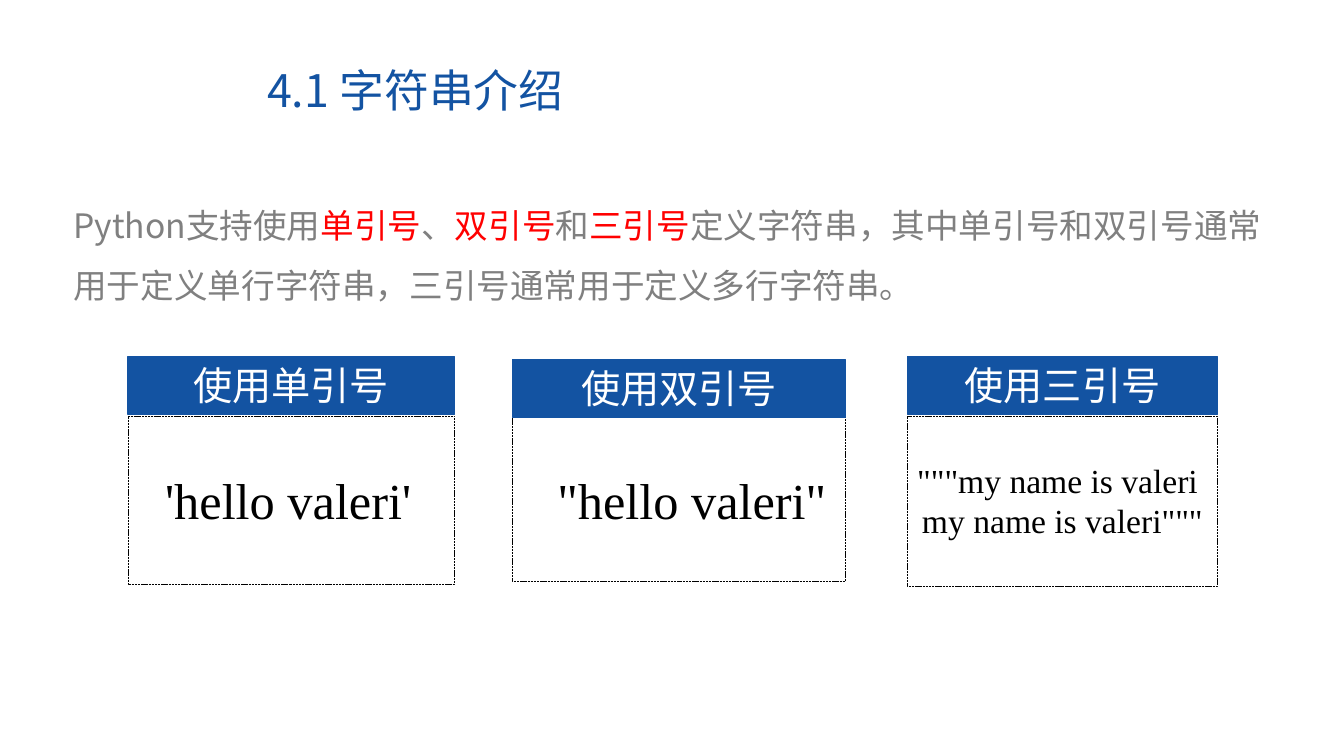
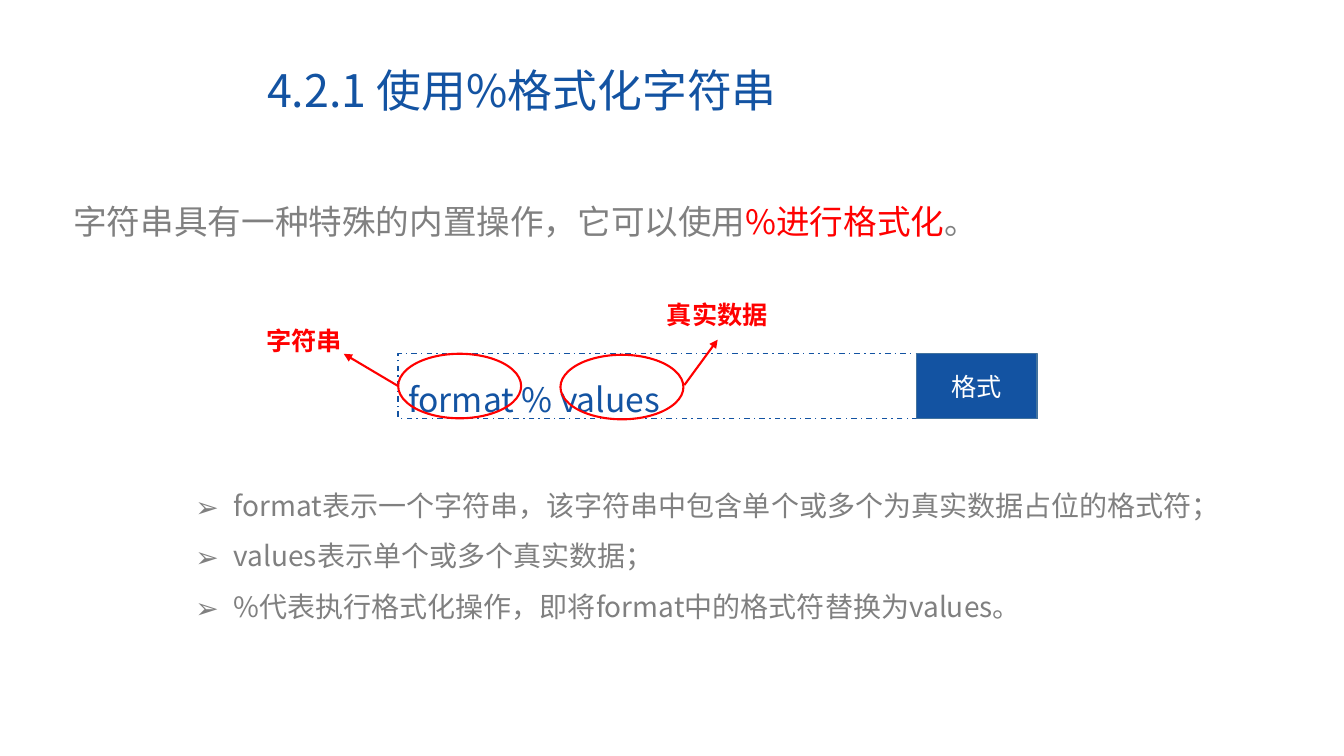
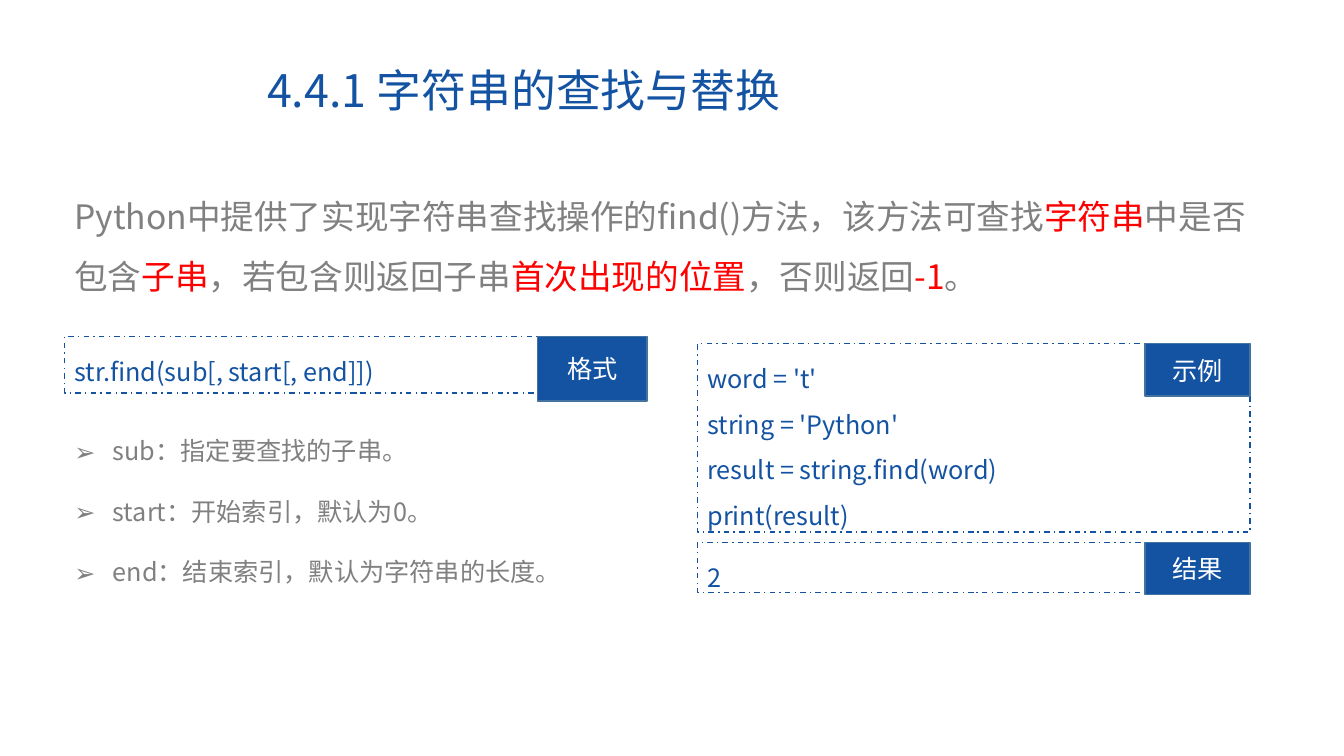
from dataclasses import dataclass

from lxml.etree import SubElement
from pptx import Presentation
from pptx.dml.color import RGBColor
from pptx.enum.dml import MSO_LINE_DASH_STYLE as Dash
from pptx.enum.shapes import MSO_CONNECTOR as Connector, MSO_SHAPE as Shape
from pptx.enum.text import MSO_ANCHOR as Anchor, MSO_AUTO_SIZE as AutoSize, PP_ALIGN as Align
from pptx.oxml.ns import qn
from pptx.util import Inches, Pt

# Shared look
BLUE = RGBColor(0x13, 0x53, 0xA2)
EDGE = RGBColor(0x43, 0x73, 0x9E)
GREY = RGBColor(0x80, 0x80, 0x80)
RED = RGBColor(0xFF, 0x00, 0x00)
WHITE = RGBColor(0xFF, 0xFF, 0xFF)
BLACK = RGBColor(0x00, 0x00, 0x00)
SANS, SERIF = "Noto Sans CJK SC", "Times New Roman"

# Grid of square cells, ten to the inch
COLS, ROWS = 133.33, 75
BULLET_INDENT = 3.8
TITLE_BOX = (25.5, 6.3, 91.4, 5.9)


def cells(n: float) -> int:
    return Inches(n / 10)


@dataclass(frozen=True)
class Style:
    size: float
    color: RGBColor
    font: str = SANS
    bold: bool = False
    align: Align = Align.LEFT
    anchor: Anchor = Anchor.TOP
    spacing: float = 1.0
    bullet: str = ""
    gap: float = 0


@dataclass(frozen=True)
class Card:
    left: float
    width: float
    top: float
    body_height: float
    heading: str


@dataclass(frozen=True)
class Panel:
    box: tuple
    lines: tuple
    tag: str
    tag_size: tuple
    size: float = 18


@dataclass(frozen=True)
class Callout:
    oval: tuple
    start: tuple
    end: tuple
    label_box: tuple
    label: str


TITLE = Style(32, BLUE, anchor=Anchor.MIDDLE, spacing=0.9)
INTRO = Style(24, GREY, spacing=1.5)
HEADING = Style(28, WHITE, align=Align.CENTER)
TAG = Style(18, WHITE, align=Align.CENTER, anchor=Anchor.MIDDLE)
LABEL = Style(18, RED, bold=True, align=Align.CENTER, anchor=Anchor.MIDDLE)
QUOTE = Style(36, BLACK, SERIF)
LONG_QUOTE = Style(24, BLACK, SERIF)
NOTES = Style(20, GREY, spacing=1.5, bullet="➢")
PARAMETERS = Style(18, GREY, bullet="➢", gap=21.6)


def write(sp, lines, style: Style, aligns=()) -> None:
    """Fill a shape with paragraphs; every second part between bars is red."""
    tf = sp.text_frame
    frame = {"word_wrap": True, "auto_size": AutoSize.NONE, "vertical_anchor": style.anchor}
    for name, value in frame.items():
        setattr(tf, name, value)
    for i, line in enumerate(lines):
        p = tf.add_paragraph() if i else tf.paragraphs[0]
        if style.bullet:
            pPr = p._p.get_or_add_pPr()
            pPr.set("marL", str(cells(BULLET_INDENT)))
            pPr.set("indent", str(-cells(BULLET_INDENT)))
            SubElement(pPr, qn("a:buFont")).set("typeface", style.font)
            SubElement(pPr, qn("a:buChar")).set("char", style.bullet)
        p.alignment = aligns[i] if aligns else style.align
        p.line_spacing = style.spacing
        if i and style.gap:
            p.space_before = Pt(style.gap)
        for j, part in enumerate(line.split("|")):
            r = p.add_run()
            r.text = part
            values = {"size": Pt(style.size), "name": style.font, "bold": style.bold}
            for name, value in values.items():
                setattr(r.font, name, value)
            r.font.color.rgb = RED if j % 2 else style.color
            SubElement(r._r.get_or_add_rPr(), qn("a:ea")).set("typeface", style.font)


def add_text(s, box, lines, style: Style, aligns=()) -> None:
    write(s.shapes.add_textbox(*map(cells, box)), lines, style, aligns)


def add_box(s, box, kind=Shape.RECTANGLE, fill=None, line=None, width=1.0, dash=None):
    sp = s.shapes.add_shape(kind, *map(cells, box))
    sp.shadow.inherit = False
    if fill is None:
        sp.fill.background()
    else:
        sp.fill.solid()
        sp.fill.fore_color.rgb = fill
    if line is None:
        sp.line.fill.background()
    else:
        sp.line.color.rgb = line
        sp.line.width = Pt(width)
        if dash is not None:
            sp.line.dash_style = dash
    return sp


def add_arrow(s, start, end) -> None:
    cn = s.shapes.add_connector(Connector.STRAIGHT, *map(cells, (*start, *end)))
    cn.line.color.rgb = RED
    cn.line.width = Pt(1.5)
    SubElement(cn.line._get_or_add_ln(), qn("a:tailEnd")).set("type", "triangle")
    SubElement(cn._element.spPr, qn("a:effectLst"))


def add_card(s, card: Card) -> None:
    body = (card.left, 41.3, card.width, card.body_height)
    add_box(s, body, line=BLACK, width=0.5, dash=Dash.SQUARE_DOT)
    head = add_box(s, (card.left, card.top, card.width, 5.7), fill=BLUE, line=BLUE, width=0.75)
    write(head, [card.heading], HEADING)


def add_panel(s, panel: Panel) -> None:
    """Dash-dot code box with a tag in its top right corner."""
    left, top, width, _ = panel.box
    tag_width, tag_height = panel.tag_size
    code = add_box(s, panel.box, line=BLUE, dash=Dash.DASH_DOT)
    write(code, panel.lines, Style(panel.size, BLUE, spacing=1.5))
    corner = (left + width - tag_width, top, tag_width, tag_height)
    write(add_box(s, corner, fill=BLUE, line=EDGE), [panel.tag], TAG)


def add_callout(s, callout: Callout) -> None:
    add_box(s, callout.oval, Shape.OVAL, line=RED, width=1.5)
    add_arrow(s, callout.start, callout.end)
    add_text(s, callout.label_box, [callout.label], LABEL)


def add_slide(prs, title: str, intro_box, intro: str):
    s = prs.slides.add_slide(prs.slide_layouts[5])
    sp = s.shapes.title
    for name, value in zip(("left", "top", "width", "height"), TITLE_BOX):
        setattr(sp, name, cells(value))
    write(sp, [title], TITLE)
    add_text(s, intro_box, [intro], INTRO)
    return s


def quotes_slide(prs) -> None:
    s = add_slide(
        prs, "4.1 字符串介绍", (6.3, 17.8, 122.9, 12.4),
        "Python支持使用|单引号|、|双引号|和|三引号|定义字符串，其中单引号和双引号"
        "通常用于定义单行字符串，三引号通常用于定义多行字符串。")
    cards = (
        Card(12.7, 32.4, 35.4, 16.7, "使用单引号"),
        Card(50.8, 33.1, 35.7, 16.4, "使用双引号"),
        Card(90, 30.8, 35.4, 16.9, "使用三引号"),
    )
    for card in cards:
        add_card(s, card)
    add_text(s, (15.4, 46, 27.1, 7.1), ["'hello valeri'"], QUOTE)
    add_text(s, (54.3, 46, 29.5, 7.1), ['"hello valeri"'], QUOTE)
    add_text(s, (90, 45.1, 30.8, 9.1), ['"""my name is valeri', 'my name is valeri"""'],
             LONG_QUOTE, (Align.LEFT, Align.CENTER))


def format_slide(prs) -> None:
    s = add_slide(
        prs, "4.2.1 使用%格式化字符串", (6.3, 17.4, 122.9, 6.3),
        "字符串具有一种特殊的内置操作，它可以使用|%进行格式化|。")
    add_panel(s, Panel((39.5, 35.1, 63.4, 6.4), ("format % values",), "格式", (12, 6.4), 24))
    callouts = (
        Callout((39.5, 35.1, 12.2, 6.4), (39.5, 38.3), (34.1, 35.1),
                (22.7, 30.8, 14.9, 6), "字符串"),
        Callout((55.6, 35.2, 12.2, 6.4), (67.9, 38.2), (71.2, 33.7),
                (63.7, 28.2, 14.9, 6), "真实数据"),
    )
    for callout in callouts:
        add_callout(s, callout)
    add_text(s, (18.4, 46.3, 102.3, 16.2), (
        "format表示一个字符串，该字符串中包含单个或多个为真实数据占位的格式符；",
        "values表示单个或多个真实数据；",
        "%代表执行格式化操作，即将format中的格式符替换为values。",
    ), NOTES)


def find_slide(prs) -> None:
    s = add_slide(
        prs, "4.4.1 字符串的查找与替换", (6.4, 16.9, 121, 12.4),
        "Python中提供了实现字符串查找操作的find()方法，该方法可查找|字符串|中是否包含"
        "|子串|，若包含则返回子串|首次出现的位置|，否则返回|-1|。")
    code = ("word = 't'", "string = 'Python'", "result = string.find(word)", "print(result)")
    panels = (
        Panel((6.4, 33.4, 57.8, 5.6), ("str.find(sub[, start[, end]])",), "格式", (10.9, 6.4)),
        Panel((69.2, 34.1, 54.8, 18.7), code, "示例", (10.4, 5.2)),
        Panel((69.2, 53.8, 54.8, 5), ("2",), "结果", (10.4, 5.2)),
    )
    for panel in panels:
        add_panel(s, panel)
    add_text(s, (6.4, 42.7, 57.8, 16.2), (
        "sub：指定要查找的子串。",
        "start：开始索引，默认为0。",
        "end：结束索引，默认为字符串的长度。",
    ), PARAMETERS)


def main() -> None:
    prs = Presentation()
    prs.slide_width, prs.slide_height = cells(COLS), cells(ROWS)
    for build in (quotes_slide, format_slide, find_slide):
        build(prs)
    prs.save("out.pptx")


if __name__ == "__main__":
    main()
